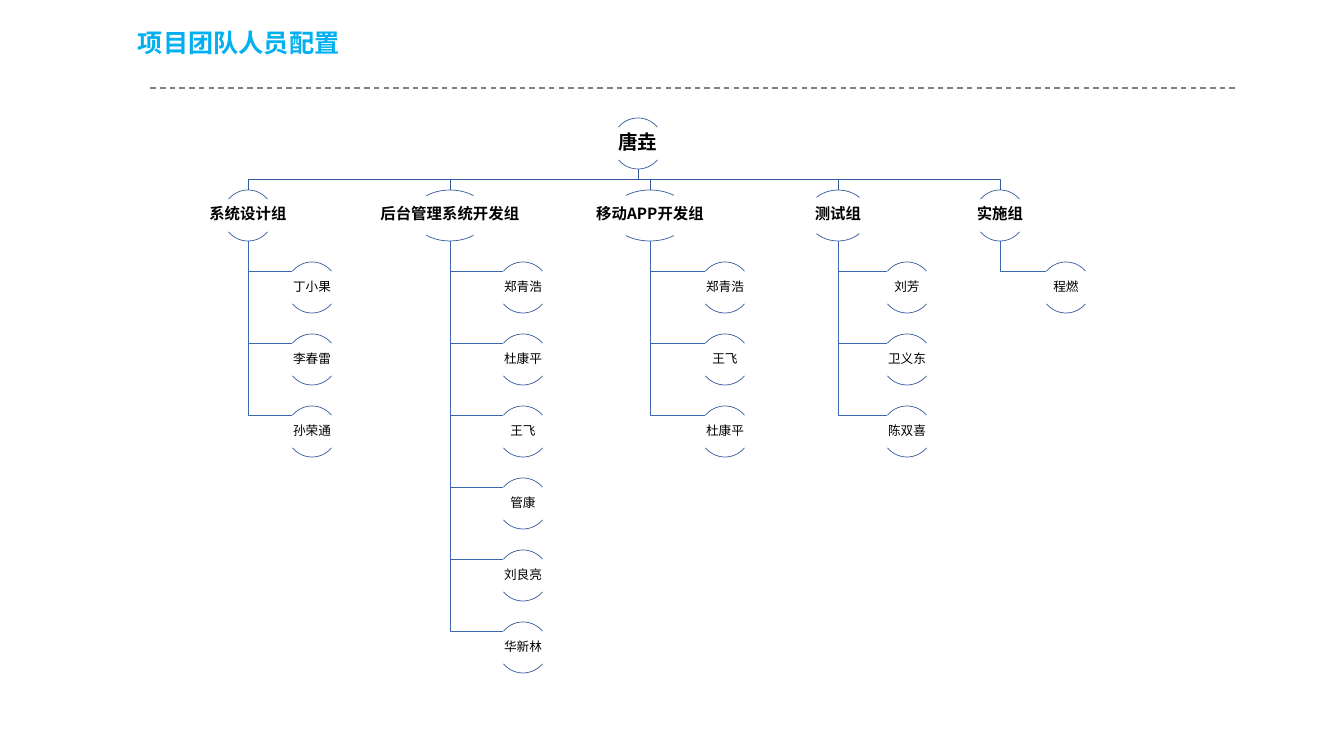
from lxml import etree
from pptx import Presentation
from pptx import util as u
from pptx.dml.color import RGBColor
from pptx.enum import dml, shapes, text
from pptx.oxml.ns import qn

FONT = "Noto Sans CJK SC"
NODE = 51
STEP = 72
LABEL = (9, 32)
ARCS = [(132, 192), (24, 84)]
TEAMS = [
    ("系统设计组", 248, 51, 312, ["丁小果", "李春雷", "孙荣通"]),
    ("后台管理系统开发组", 450, 75, 523,
     ["郑青浩", "杜康平", "王飞", "管康", "刘良亮", "华新林"]),
    ("移动APP开发组", 650, 78, 725, ["郑青浩", "王飞", "杜康平"]),
    ("测试组", 838, 61, 907, ["刘芳", "卫义东", "陈双喜"]),
    ("实施组", 1000, 51, 1066, ["程燃"]),
]


def px(n):
    return u.Emu(round(n * 914400 / 100.8))


def paint(color, code):
    color.rgb = RGBColor.from_string(code)


def stroke(item, code, width=0.5):
    item.line.width = u.Pt(width)
    paint(item.line.color, code)


def write(frame, words, size, code="000000", bold=False, align="CENTER", inset=1):
    frame.word_wrap = True
    frame.auto_size = text.MSO_AUTO_SIZE.NONE
    frame.vertical_anchor = text.MSO_ANCHOR.MIDDLE
    frame.margin_left = frame.margin_right = px(inset)
    frame.margin_top = frame.margin_bottom = px(1)
    para = frame.paragraphs[0]
    para.alignment = text.PP_ALIGN[align]
    para.line_spacing = 0.9
    run = para.add_run()
    run.text = words
    run.font.size = u.Pt(size)
    run.font.bold = bold
    run.font.name = FONT
    paint(run.font.color, code)
    etree.SubElement(run.font._element, qn("a:ea"), typeface=FONT)


def header(slide, left, top, width, height):
    title = slide.shapes.title
    title.left, title.top = px(left), px(top)
    title.width, title.height = px(width), px(height)
    write(title.text_frame, "项目团队人员配置", 18, "00B0F0", True, "LEFT", 10)
    rule = slide.shapes.add_connector(
        shapes.MSO_CONNECTOR.STRAIGHT,
        px(left + 1107), px(top + 78), px(left + 21), px(top + 78))
    stroke(rule, "808080", 1)
    rule.line.dash_style = dml.MSO_LINE.DASH
    etree.SubElement(rule._element.spPr, qn("a:effectLst"))


def elbow(slide, points, code):
    spots = [(px(x), px(y)) for x, y in points]
    build = slide.shapes.build_freeform(*spots[0])
    build.add_line_segments(spots[1:], close=False)
    line = build.convert_to_shape()
    line.fill.background()
    line.shadow.inherit = False
    stroke(line, code)


def node(slide, mid, top, width, words, size, bold=False):
    for ends in ARCS:
        arc = slide.shapes.add_shape(
            shapes.MSO_SHAPE.ARC, px(mid - width / 2), px(top), px(width), px(NODE))
        arc.adjustments[0], arc.adjustments[1] = ends
        arc.fill.background()
        arc.shadow.inherit = False
        stroke(arc, "365B9D")
    drop, height = LABEL
    box = slide.shapes.add_textbox(
        px(mid - width), px(top + drop), px(2 * width), px(height))
    write(box.text_frame, words, size, bold=bold)


def team(slide, mid, top, width, name, side, people):
    base = top + NODE
    rows = [top + STEP + STEP * i for i in range(len(people))]
    for row in rows:
        bend = row + LABEL[0]
        elbow(slide, [(mid, base), (mid, bend), (side - 20, bend)], "3E67B2")
    node(slide, mid, top, width, name, 11, True)
    for row, person in zip(rows, people):
        node(slide, side, row, NODE, person, 9)


def chart(slide, mid, top):
    base, head = top + NODE, top + STEP
    bus = (base + head) / 2
    for _, hub, *_ in TEAMS:
        elbow(slide, [(mid, base), (mid, bus), (hub, bus), (hub, head)], "365B9D")
    node(slide, mid, top, NODE, "唐垚", 14, True)
    for name, hub, width, side, people in TEAMS:
        team(slide, hub, head, width, name, side, people)


def main():
    deck = Presentation()
    deck.slide_width, deck.slide_height = px(1344), px(756)
    slide = deck.slides.add_slide(deck.slide_layouts[5])
    header(slide, 128, 10, 1008, 68)
    chart(slide, 638, 118)
    deck.save("out.pptx")


if __name__ == "__main__":
    main()
